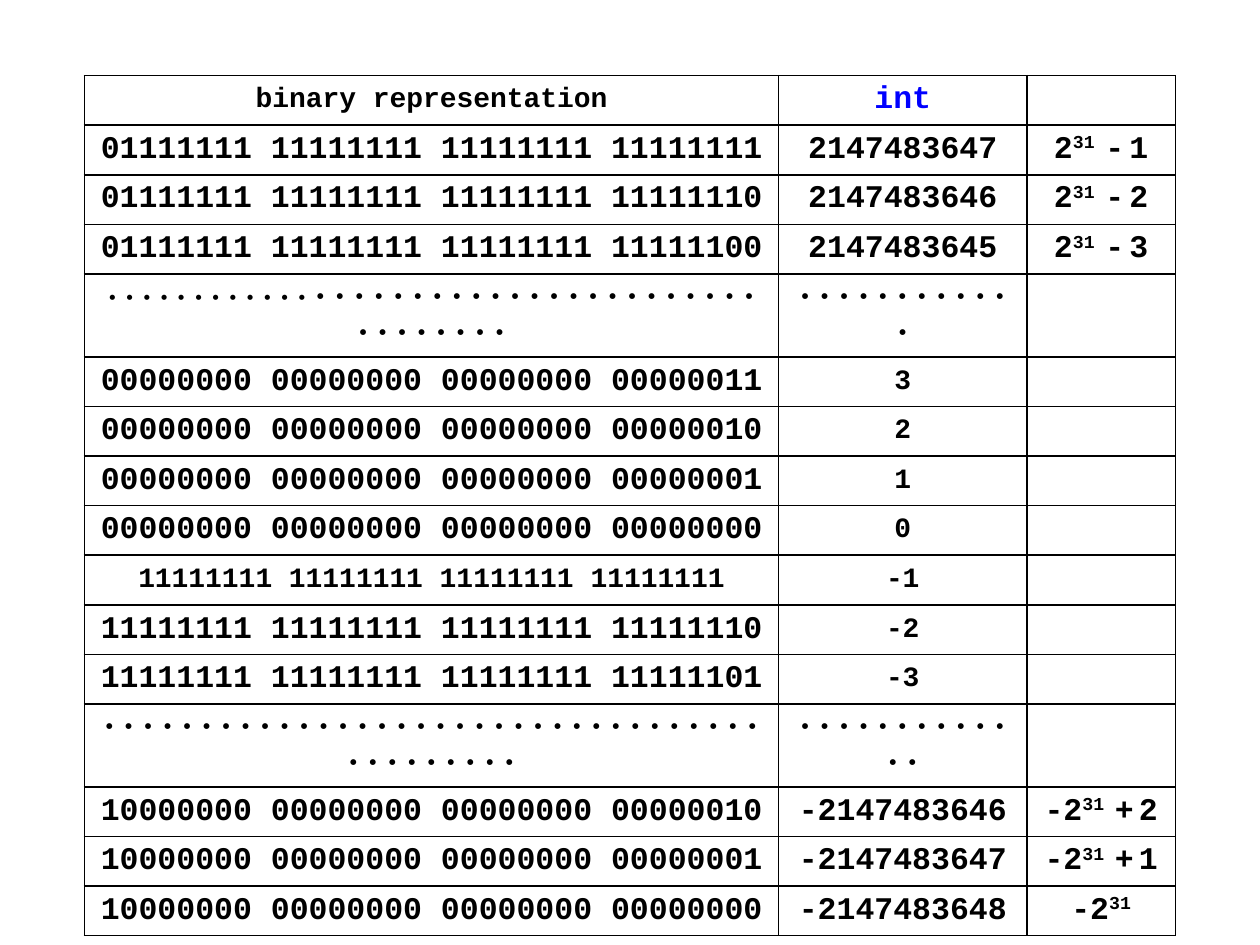
"""Build a slide with a table of 32-bit two's complement integers."""
from lxml import etree
from pptx import Presentation
from pptx.dml.color import RGBColor
from pptx.enum.text import MSO_ANCHOR, PP_ALIGN
from pptx.oxml.ns import qn
from pptx.util import Inches, Pt

BLACK = RGBColor(0, 0, 0)
BLUE = RGBColor(0, 0, 255)
CENTER, MIDDLE = PP_ALIGN.CENTER, MSO_ANCHOR.MIDDLE
MONO, SERIF = "Courier New", "Cambria"
COLS = [5.51, 1.97, 1.18]
HEIGHT = 6.3
MARGINS = {"margin_left": Inches(0.1), "margin_right": Inches(0.1),
           "margin_top": Inches(0.04), "margin_bottom": Inches(0.04)}


def add_run(p, text, size=18, font=MONO, color=BLACK, **attrs):
    r = p.add_run()
    r.text = text
    for name, value in {"size": Pt(size), "name": font, "bold": True}.items():
        setattr(r.font, name, value)
    r.font.color.rgb = color
    for name, value in attrs.items():
        r.font._element.set(name, str(value))


def add_border(cell):
    tcPr = cell._tc.get_or_add_tcPr()
    for i, side in enumerate(("lnL", "lnR", "lnT", "lnB")):
        ln = etree.Element(qn(f"a:{side}"), w=str(Pt(1)))
        fill = etree.SubElement(ln, qn("a:solidFill"))
        etree.SubElement(fill, qn("a:srgbClr"), val=str(BLACK))
        tcPr.insert(i, ln)


def_dots = " ".join
ROWS = [
    ("binary representation", "int", ""),
    ("01111111 11111111 11111111 11111111", "2147483647", "2-1"),
    ("01111111 11111111 11111111 11111110", "2147483646", "2-2"),
    ("01111111 11111111 11111111 11111100", "2147483645", "2-3"),
    (def_dots("⋅" * 43), def_dots("⋅" * 12), ""),
    ("00000000 00000000 00000000 00000011", "3", ""),
    ("00000000 00000000 00000000 00000010", "2", ""),
    ("00000000 00000000 00000000 00000001", "1", ""),
    ("00000000 00000000 00000000 00000000", "0", ""),
    ("11111111 11111111 11111111 11111111", "-1", ""),
    ("11111111 11111111 11111111 11111110", "-2", ""),
    ("11111111 11111111 11111111 11111101", "-3", ""),
    (def_dots("⋅" * 43), def_dots("⋅" * 13), ""),
    ("10000000 00000000 00000000 00000010", "-2147483646", "-2+2"),
    ("10000000 00000000 00000000 00000001", "-2147483647", "-2+1"),
    ("10000000 00000000 00000000 00000000", "-2147483648", "-2"),
]
SMALL_BITS = ("binary representation", "11111111 11111111 11111111 11111111")
SMALL_DOTS = 24

prs = Presentation()
prs.slide_width, prs.slide_height = Inches(10), Inches(7.5)
s = prs.slides.add_slide(prs.slide_layouts[6])
table = s.shapes.add_table(len(ROWS), len(COLS), Inches(0.67), Inches(0.6),
                           Inches(sum(COLS)), Inches(HEIGHT)).table
table.first_row = table.horz_banding = False
for col, width in zip(table.columns, COLS):
    col.width = Inches(width)
for row in table.rows:
    row.height = Inches(HEIGHT / len(ROWS))

for i, values in enumerate(ROWS):
    for j, text in enumerate(values):
        cell = table.cell(i, j)
        cell.fill.background()
        add_border(cell)
        cell.vertical_anchor = MIDDLE
        for name, value in MARGINS.items():
            setattr(cell, name, value)
        p = cell.text_frame.paragraphs[0]
        p.alignment = CENTER
        if not text:
            continue
        if j == 2:
            base, offset = text.partition("2")[0] + "2", text.partition("2")[2]
            add_run(p, base)
            if offset:
                add_run(p, "3", baseline=30000)
                add_run(p, "1", baseline=30000, spc=600)
                add_run(p, offset[0], spc=300)
                add_run(p, offset[1])
            else:
                add_run(p, "31", baseline=30000)
        elif "⋅" in text:
            split = SMALL_DOTS if (i, j) == (4, 0) else 0
            if split:
                add_run(p, text[:split], 16, SERIF)
            add_run(p, text[split:], 18, SERIF)
        elif text == "int":
            add_run(p, text, color=BLUE)
        else:
            small = text in SMALL_BITS or len(text) <= 2
            add_run(p, text, 16 if small else 18)

prs.save("out.pptx")
